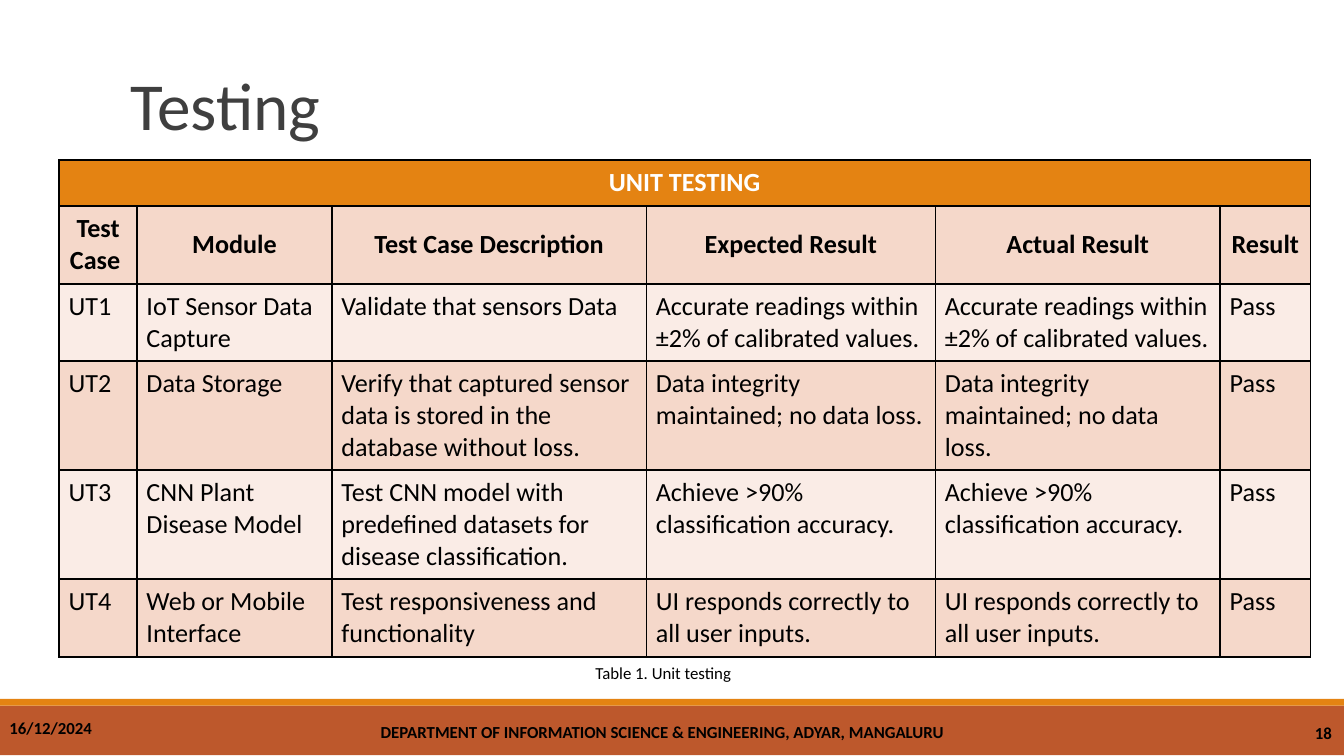
from lxml import etree
from pptx import Presentation
from pptx import util as u
from pptx.dml.color import RGBColor
from pptx.enum import shapes, text
from pptx.oxml.ns import qn

FONT = "Calibri"
CENTER, LEFT, RIGHT = text.PP_ALIGN.CENTER, text.PP_ALIGN.LEFT, text.PP_ALIGN.RIGHT
TOP, MIDDLE = text.MSO_ANCHOR.TOP, text.MSO_ANCHOR.MIDDLE


def paint(color_format, color):
    color_format.rgb = RGBColor.from_string(color)


def write(frame, words, size, color, bold=False, align=LEFT, anchor=TOP):
    frame.word_wrap = True
    frame.vertical_anchor = anchor
    paragraph = frame.paragraphs[0]
    paragraph.alignment = align
    run = paragraph.add_run()
    run.text = words
    for name, value in {"name": FONT, "size": u.Pt(size), "bold": bold}.items():
        setattr(run.font, name, value)
    paint(run.font.color, color)
    return paragraph


# Widescreen slide, 16:9
presentation = Presentation()
presentation.slide_width = u.Inches(10)
presentation.slide_height = u.Inches(10 * 9 / 16)
slide = presentation.slides.add_slide(presentation.slide_layouts[6])

# Footer bands
for top, height, color in [(5.25, 0.37, "BD582C"), (5.2, 0.05, "E48312")]:
    band = slide.shapes.add_shape(
        shapes.MSO_SHAPE.RECTANGLE, u.Inches(0), u.Inches(top), u.Inches(10), u.Inches(height))
    band.shadow.inherit = False
    band.fill.solid()
    paint(band.fill.fore_color, color)
    band.line.fill.background()

# Title, footer texts and table caption
labels = [
    ("Testing", (0.9, 0.52, 8.25, 0.57), 36, "3F3F3F", False, LEFT, TOP),
    ("DEPARTMENT OF INFORMATION SCIENCE & ENGINEERING, ADYAR, MANGALURU",
     (1.99, 5.3, 5.87, 0.29), 9, "000000", True, CENTER, MIDDLE),
    ("18", (9.5, 5.31, 0.48, 0.29), 9, "000000", True, RIGHT, MIDDLE),
    ("16/12/2024", (0, 5.3, 0.8, 0.29), 9, "000000", True, LEFT, TOP),
    ("Table 1. Unit testing", (2, 4.86, 5.87, 0.29), 9, "000000", False, CENTER, MIDDLE),
]
text_insets = {"margin_left": 0.07, "margin_right": 0.07,
               "margin_top": 0.04, "margin_bottom": 0.04}
for words, place, size, color, bold, align, anchor in labels:
    box = slide.shapes.add_textbox(*[u.Inches(length) for length in place])
    for name, value in text_insets.items():
        setattr(box.text_frame, name, u.Inches(value))
    paragraph = write(box.text_frame, words, size, color, bold, align, anchor)
    if words == "Testing":
        paragraph.line_spacing = 0.85

# Table contents
columns = [0.58, 1.45, 2.34, 2.15, 2.12, 0.67]
heights = [0.3, 0.49, 0.49, 0.69, 0.69, 0.49]
headings = ["Test Case ", "Module", "Test Case Description",
            "Expected Result", "Actual Result", "Result"]
# Every test gave the expected result
tests = [
    ("IoT Sensor Data Capture", "Validate that sensors Data",
     "Accurate readings within ±2% of calibrated values."),
    ("Data Storage", "Verify that captured sensor data is stored in the database without loss.",
     "Data integrity maintained; no data loss."),
    ("CNN Plant Disease Model",
     "Test CNN model with predefined datasets for disease classification.",
     "Achieve >90% classification accuracy."),
    ("Web or Mobile Interface", "Test responsiveness and functionality",
     "UI responds correctly to all user inputs."),
]
rows = [["UNIT TESTING"] + [""] * 5, headings]
for number, (module, description, result) in enumerate(tests, 1):
    rows.append([f"UT{number}", module, description, result, result, "Pass"])
fills = ["E48312"] + ["F5D8CA", "FAECE6"] * 2 + ["F5D8CA"]

# Table grid
table = slide.shapes.add_table(
    len(rows), len(columns), u.Inches(0.44), u.Inches(1.19),
    u.Inches(sum(columns)), u.Inches(sum(heights))).table
for column, width in zip(table.columns, columns):
    column.width = u.Inches(width)
for row, height in zip(table.rows, heights):
    row.height = u.Inches(height)
table.cell(0, 0).merge(table.cell(0, len(columns) - 1))

# Table cells
cell_insets = {"margin_left": 0.07, "margin_right": 0.07,
               "margin_top": 0.05, "margin_bottom": 0.06}
for row_index, row in enumerate(rows):
    heading = row_index < 2
    for column_index, words in enumerate(row):
        cell = table.cell(row_index, column_index)
        for name, value in cell_insets.items():
            setattr(cell, name, u.Inches(value))
        if words:
            write(cell.text_frame, words, 14, "000000" if row_index else "FFFFFF",
                  heading, CENTER if heading else LEFT)
        cell.vertical_anchor = MIDDLE if row_index == 1 else TOP
        # Borders come before the fill in the cell properties
        properties = cell._tc.get_or_add_tcPr()
        for side in ["a:lnL", "a:lnR", "a:lnT", "a:lnB"]:
            border = etree.SubElement(properties, qn(side), w=str(u.Pt(0.96)))
            solid = etree.SubElement(border, qn("a:solidFill"))
            etree.SubElement(solid, qn("a:srgbClr"), val="000000")
        cell.fill.solid()
        paint(cell.fill.fore_color, fills[row_index])

presentation.save("out.pptx")
